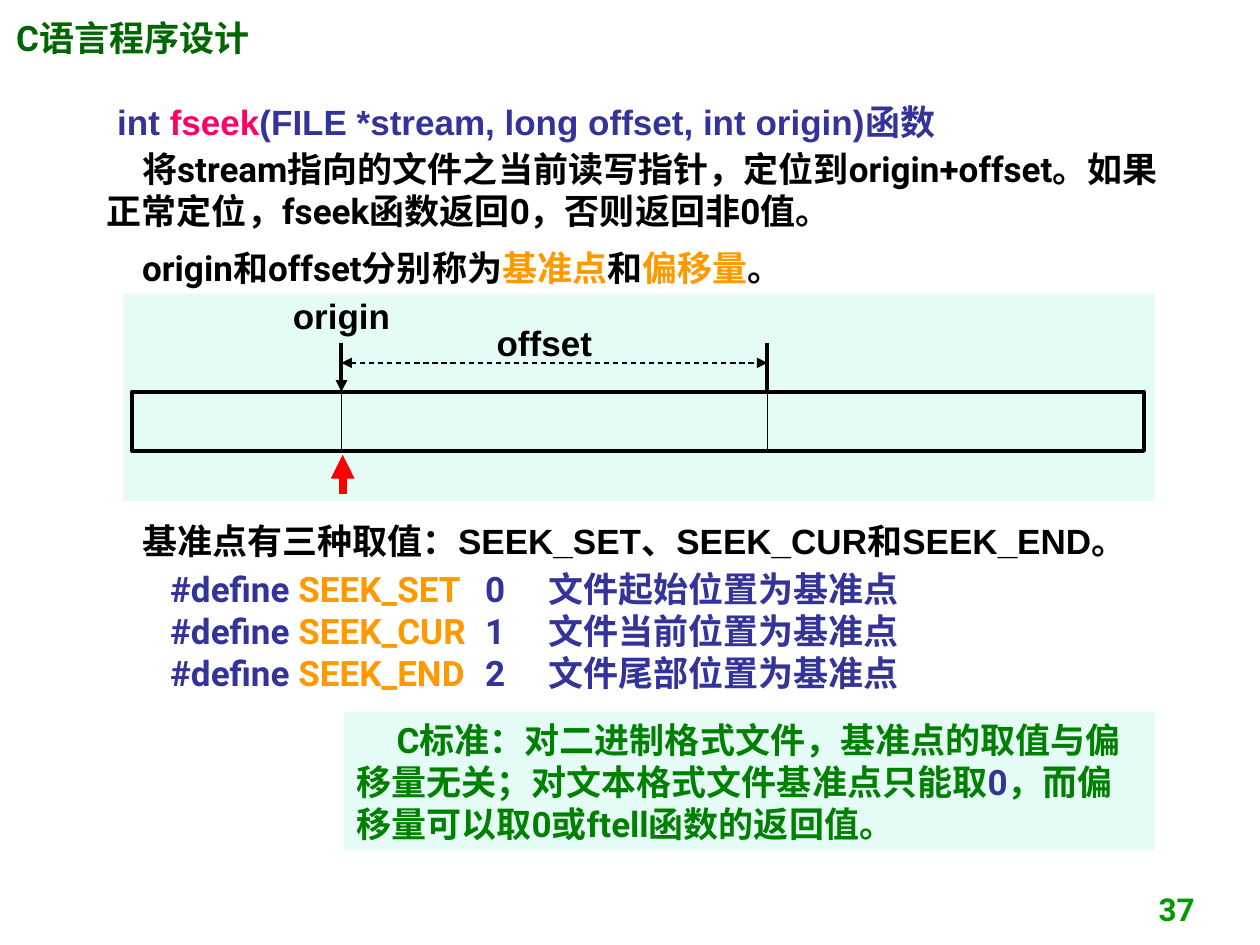
from lxml import etree
from pptx import Presentation
from pptx.dml.color import RGBColor
from pptx.enum.dml import MSO_LINE
from pptx.enum.shapes import MSO_CONNECTOR, MSO_SHAPE
from pptx.enum.text import MSO_ANCHOR, MSO_AUTO_SIZE, PP_ALIGN
from pptx.oxml.ns import qn
from pptx.util import Inches, Pt

BLACK = RGBColor(0x00, 0x00, 0x00)
NAVY = RGBColor(0x33, 0x33, 0x99)
PINK = RGBColor(0xFF, 0x00, 0x66)
ORANGE = RGBColor(0xFF, 0x99, 0x00)
GREEN = RGBColor(0x00, 0x80, 0x00)
DARK_GREEN = RGBColor(0x00, 0x66, 0x00)
NUMBER_GREEN = RGBColor(0x00, 0x99, 0x00)
MINT = RGBColor(0x00, 0xE4, 0xA8)
RED = RGBColor(0xFF, 0x00, 0x00)

TOP, MIDDLE, BOTTOM = MSO_ANCHOR.TOP, MSO_ANCHOR.MIDDLE, MSO_ANCHOR.BOTTOM
LEFT, CENTER, RIGHT = PP_ALIGN.LEFT, PP_ALIGN.CENTER, PP_ALIGN.RIGHT
STRAIGHT, RECTANGLE = MSO_CONNECTOR.STRAIGHT, MSO_SHAPE.RECTANGLE
DASH, NO_FIT = MSO_LINE.DASH, MSO_AUTO_SIZE.NONE

CJK_FONT = "Noto Sans CJK SC"
TEXT_LEFT, TEXT_WIDTH = 0.75, 8.74
PANEL_LEFT, PANEL_TOP, PANEL_WIDTH, PANEL_HEIGHT = 0.98, 2.33, 8.19, 1.65
PANEL_RIGHT = PANEL_LEFT + PANEL_WIDTH
ORIGIN_X, TARGET_X = 2.71, 6.09
MARK_TOP, FILE_TOP, FILE_HEIGHT = 2.72, 3.11, 0.47
COLUMN_TABS = (0.97, 3.48, 3.83)


def place(shape, left, top, width, height):
    shape.left, shape.top = Inches(left), Inches(top)
    shape.width, shape.height = Inches(width), Inches(height)


def prepare_frame(box, anchor=TOP):
    frame = box.text_frame
    frame.word_wrap = True
    frame.auto_size = NO_FIT
    frame.vertical_anchor = anchor
    frame.margin_left = frame.margin_right = Inches(0.1)
    frame.margin_top = frame.margin_bottom = Inches(0.05)
    return frame


def write_spans(para, spans, font="Roboto", size=20, align=LEFT, indent=0, tabs=()):
    properties = para._p.get_or_add_pPr()
    properties.set("marL", "0")
    properties.set("indent", str(Inches(indent)))
    etree.SubElement(properties, qn("a:buNone"))
    if tabs:
        stops = etree.SubElement(properties, qn("a:tabLst"))
        for position in tabs:
            etree.SubElement(stops, qn("a:tab"), pos=str(Inches(position)), algn="l")
    para.alignment = align
    para.space_before = Pt(0)
    for text, color in spans:
        span = para.add_run()
        span.text = text
        span.font.name = font
        span.font.size = Pt(size)
        span.font.bold = True
        span.font.color.rgb = color
        etree.SubElement(span._r.get_or_add_rPr(), qn("a:ea"), typeface=CJK_FONT)


def add_text(shapes, bounds, spans, anchor=TOP, **style):
    box = shapes.add_textbox(*map(Inches, bounds))
    write_spans(prepare_frame(box, anchor).paragraphs[0], spans, **style)


def add_panel(shapes, *bounds):
    panel = shapes.add_shape(RECTANGLE, *map(Inches, bounds))
    panel.shadow.inherit = False
    panel.fill.solid()
    panel.fill.fore_color.rgb = MINT
    color = panel._element.spPr.find(qn("a:solidFill"))[0]
    etree.SubElement(color, qn("a:alpha"), val="10000")
    panel.line.fill.background()
    return panel


def add_line(shapes, start, end, weight, color=BLACK, dash=None, heads=()):
    line = shapes.add_connector(STRAIGHT, *map(Inches, start + end))
    line.line.color.rgb = color
    line.line.width = Pt(weight)
    if dash:
        line.line.dash_style = dash
    outline = line.line._get_or_add_ln()
    for head in heads:
        etree.SubElement(outline, qn(f"a:{head}"), type="triangle")
    etree.SubElement(line._element.spPr, qn("a:effectLst"))


def add_title(page):
    title = page.shapes.title
    place(title, 0.83, 0.75, 8.42, 0.44)
    write_spans(prepare_frame(title).paragraphs[0], [
        ("int ", NAVY), ("fseek", PINK),
        ("(FILE *stream, long offset, int origin)函数", NAVY)], font="Arial")


def add_description(page):
    add_text(page.shapes, (TEXT_LEFT, 1.12, TEXT_WIDTH, 0.77), [
        ("将stream指向的文件之当前读写指针，定位到origin+offset。"
         "如果正常定位，fseek函数返回0，否则返回非0值。", BLACK)],
        anchor=MIDDLE, indent=0.28)
    add_text(page.shapes, (TEXT_LEFT, 1.87, TEXT_WIDTH, 0.5), [
        ("origin和offset分别称为", BLACK), ("基准点", ORANGE), ("和", BLACK),
        ("偏移量", ORANGE), ("。", BLACK)], anchor=MIDDLE, indent=0.28)


def add_diagram(page):
    shapes = page.shapes.add_group_shape().shapes
    add_panel(shapes, PANEL_LEFT, PANEL_TOP, PANEL_WIDTH, PANEL_HEIGHT)
    file_bar = shapes.add_shape(
        RECTANGLE, *map(Inches, (1.05, FILE_TOP, 8.03, FILE_HEIGHT)))
    file_bar.shadow.inherit = False
    file_bar.fill.background()
    file_bar.line.color.rgb = BLACK
    file_bar.line.width = Pt(2.25)
    for x, heads in ((ORIGIN_X, ("tailEnd",)), (TARGET_X, ())):
        add_line(shapes, (x, FILE_TOP), (x, FILE_TOP + FILE_HEIGHT), 0.75)
        add_line(shapes, (x, MARK_TOP), (x, FILE_TOP), 2.25, heads=heads)
    add_line(shapes, (ORIGIN_X, 2.88), (TARGET_X, 2.88), 0.75,
             dash=DASH, heads=("headEnd", "tailEnd"))
    for label, left, top in (("origin", 2.12, 2.29), ("offset", 3.73, 2.5)):
        add_text(shapes, (left, top, 1.18, 0.44), [(label, BLACK)],
                 font="Arial", align=CENTER)
    add_line(page.shapes, (2.72, 3.92), (2.72, 3.61), 4.5, RED, heads=("tailEnd",))


def add_origin_values(page):
    body = page.placeholders[1]
    place(body, TEXT_LEFT, 4.07, TEXT_WIDTH, 1.49)
    frame = prepare_frame(body, MIDDLE)
    intro = frame.paragraphs[0]
    write_spans(intro, [
        ("基准点有三种取值：SEEK_SET、SEEK_CUR和SEEK_END。", BLACK)],
        font="Arial", indent=0.28)
    intro.space_after = Pt(3.7)
    values = (("SEEK_SET", "起始"), ("SEEK_CUR", "当前"), ("SEEK_END", "尾部"))
    for number, (name, position) in enumerate(values):
        write_spans(frame.add_paragraph(), [
            ("\t#define ", NAVY), (name, ORANGE),
            (f"\t{number}\t文件{position}位置为基准点", NAVY)], tabs=COLUMN_TABS)


def add_standard_note(page):
    left = 2.73
    panel = add_panel(page.shapes, left, 5.65, PANEL_RIGHT - left, 1.1)
    write_spans(prepare_frame(panel).paragraphs[0], [
        ("C标准：对二进制格式文件，基准点的取值与偏移量无关；"
         "对文本格式文件基准点只能取", GREEN), ("0", NAVY),
        ("，而偏移量可以取0或ftell函数的返回值。", GREEN)], indent=0.32)


def main():
    deck = Presentation()
    deck.slide_width, deck.slide_height = Inches(10), Inches(7.5)
    page = deck.slides.add_slide(deck.slide_layouts[1])
    add_text(page.shapes, (0.03, 0.08, 2.11, 0.44), [("C语言程序设计", DARK_GREEN)])
    add_text(page.shapes, (7.5, 6.95, 2.08, 0.46), [("37", NUMBER_GREEN)],
             anchor=BOTTOM, size=18, align=RIGHT)
    add_title(page)
    add_description(page)
    add_diagram(page)
    add_origin_values(page)
    add_standard_note(page)
    deck.save("out.pptx")


if __name__ == "__main__":
    main()
